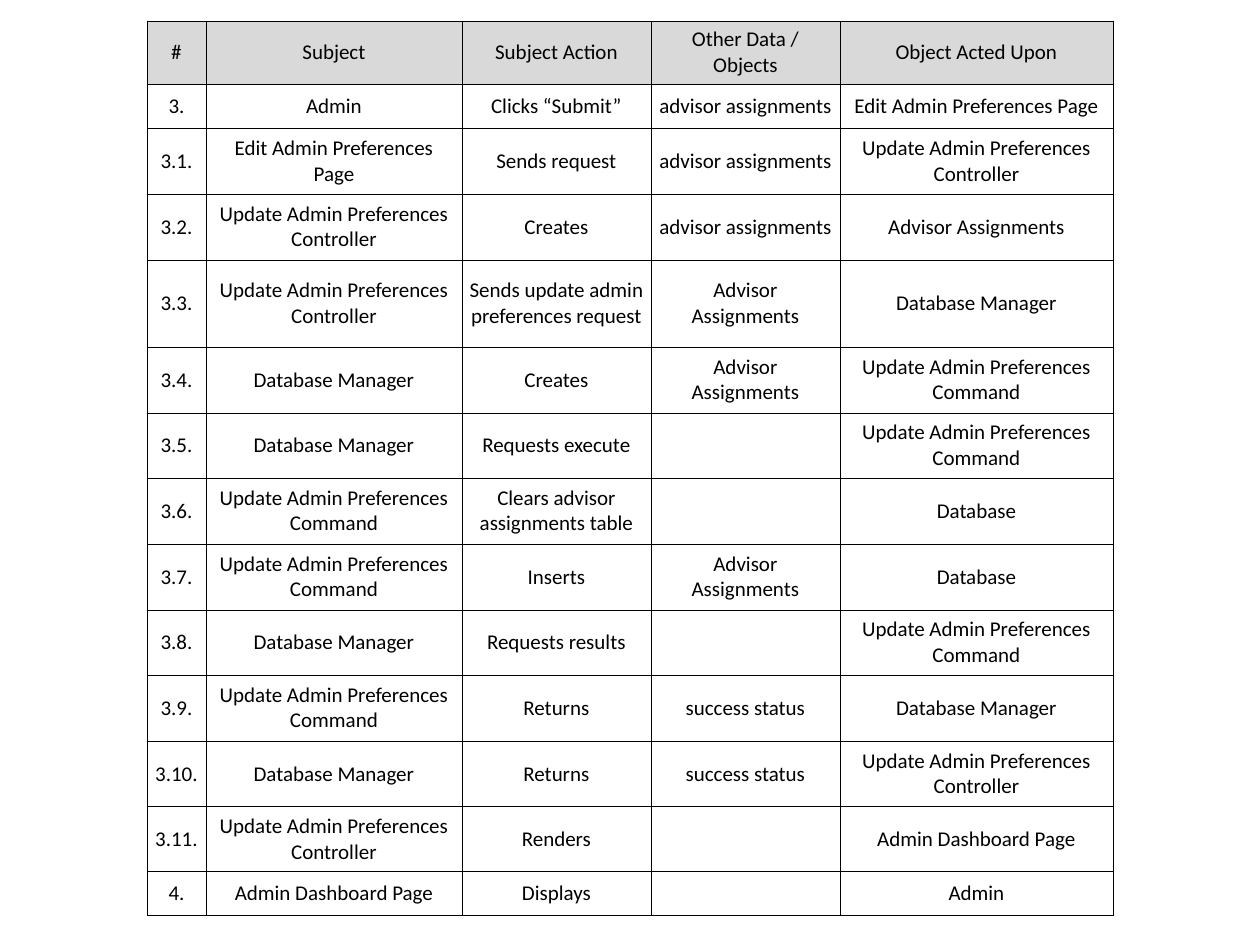
from dataclasses import dataclass

from lxml.etree import SubElement
from pptx import Presentation
from pptx.dml.color import RGBColor
from pptx.enum.text import MSO_ANCHOR, PP_ALIGN
from pptx.oxml.ns import qn
from pptx.util import Pt

SCALE = 914400 / 126


@dataclass(frozen=True)
class Theme:
    font: str = "Calibri"
    size: int = 12
    ink: str = "000000"
    head: str = "D9D9D9"
    line: float = 0.45


THEME = Theme()

PAGE = "Edit Admin Preferences Page"
CONTROL = "Update Admin Preferences Controller"
COMMAND = "Update Admin Preferences Command"
MANAGER = "Database Manager"
BOARD = "Admin Dashboard Page"
LOWER = "advisor assignments"
UPPER = "Advisor Assignments"

STEPS = [
    ("#", "Subject", "Subject Action", "Other Data / Objects", "Object Acted Upon"),
    ("3.", "Admin", "Clicks “Submit”", LOWER, PAGE),
    ("3.1.", PAGE, "Sends request", LOWER, CONTROL),
    ("3.2.", CONTROL, "Creates", LOWER, UPPER),
    ("3.3.", CONTROL, "Sends update admin preferences request", UPPER, MANAGER),
    ("3.4.", MANAGER, "Creates", UPPER, COMMAND),
    ("3.5.", MANAGER, "Requests execute", "", COMMAND),
    ("3.6.", COMMAND, "Clears advisor assignments table", "", "Database"),
    ("3.7.", COMMAND, "Inserts", UPPER, "Database"),
    ("3.8.", MANAGER, "Requests results", "", COMMAND),
    ("3.9.", COMMAND, "Returns", "success status", MANAGER),
    ("3.10.", MANAGER, "Returns", "success status", CONTROL),
    ("3.11.", CONTROL, "Renders", "", BOARD),
    ("4.", BOARD, "Displays", "", "Admin"),
]
WIDTHS = [59, 256, 189, 189, 273]
HEIGHTS = [52, 44, 66, 66, 87, 66, 65, 66, 66, 65, 66, 66, 65, 44]


def px(value):
    return round(value * SCALE)


def apply(target, values):
    for name, value in values.items():
        setattr(target, name, value)


def add_edges(cell):
    props = cell._tc.get_or_add_tcPr()
    for side in ("a:lnL", "a:lnR", "a:lnT", "a:lnB"):
        edge = SubElement(props, qn(side), w=str(Pt(THEME.line)))
        fill = SubElement(edge, qn("a:solidFill"))
        SubElement(fill, qn("a:srgbClr"), val=THEME.ink)


def add_text(cell, text):
    para = cell.text_frame.paragraphs[0]
    para.alignment = PP_ALIGN.CENTER
    if not text:
        SubElement(para._p, qn("a:endParaRPr"), sz=str(THEME.size * 100))
        return
    run = para.add_run()
    run.text = text
    apply(run.font, {"name": THEME.font, "size": Pt(THEME.size)})
    run.font.color.rgb = RGBColor.from_string(THEME.ink)


def style_cell(cell, text, head):
    apply(cell, {
        "vertical_anchor": MSO_ANCHOR.MIDDLE,
        "margin_left": px(7.5),
        "margin_right": px(7.5),
        "margin_top": px(6),
        "margin_bottom": px(6),
    })
    add_edges(cell)
    if head:
        cell.fill.solid()
        cell.fill.fore_color.rgb = RGBColor.from_string(THEME.head)
    else:
        cell.fill.background()
    add_text(cell, text)


def add_grid(slide, left, top):
    frame = slide.shapes.add_table(
        len(STEPS), len(WIDTHS), px(left), px(top),
        px(sum(WIDTHS)), px(sum(HEIGHTS)),
    )
    table = frame.table
    apply(table, {"first_row": False, "horz_banding": False})
    for column, width in zip(table.columns, WIDTHS):
        column.width = px(width)
    for index, (row, height, step) in enumerate(zip(table.rows, HEIGHTS, STEPS)):
        row.height = px(height)
        for cell, text in zip(row.cells, step):
            style_cell(cell, text, index == 0)


def main():
    deck = Presentation()
    apply(deck, {"slide_width": px(1260), "slide_height": px(945)})
    slide = deck.slides.add_slide(deck.slide_layouts[6])
    add_grid(slide, 147, 21)
    deck.save("out.pptx")


main()
